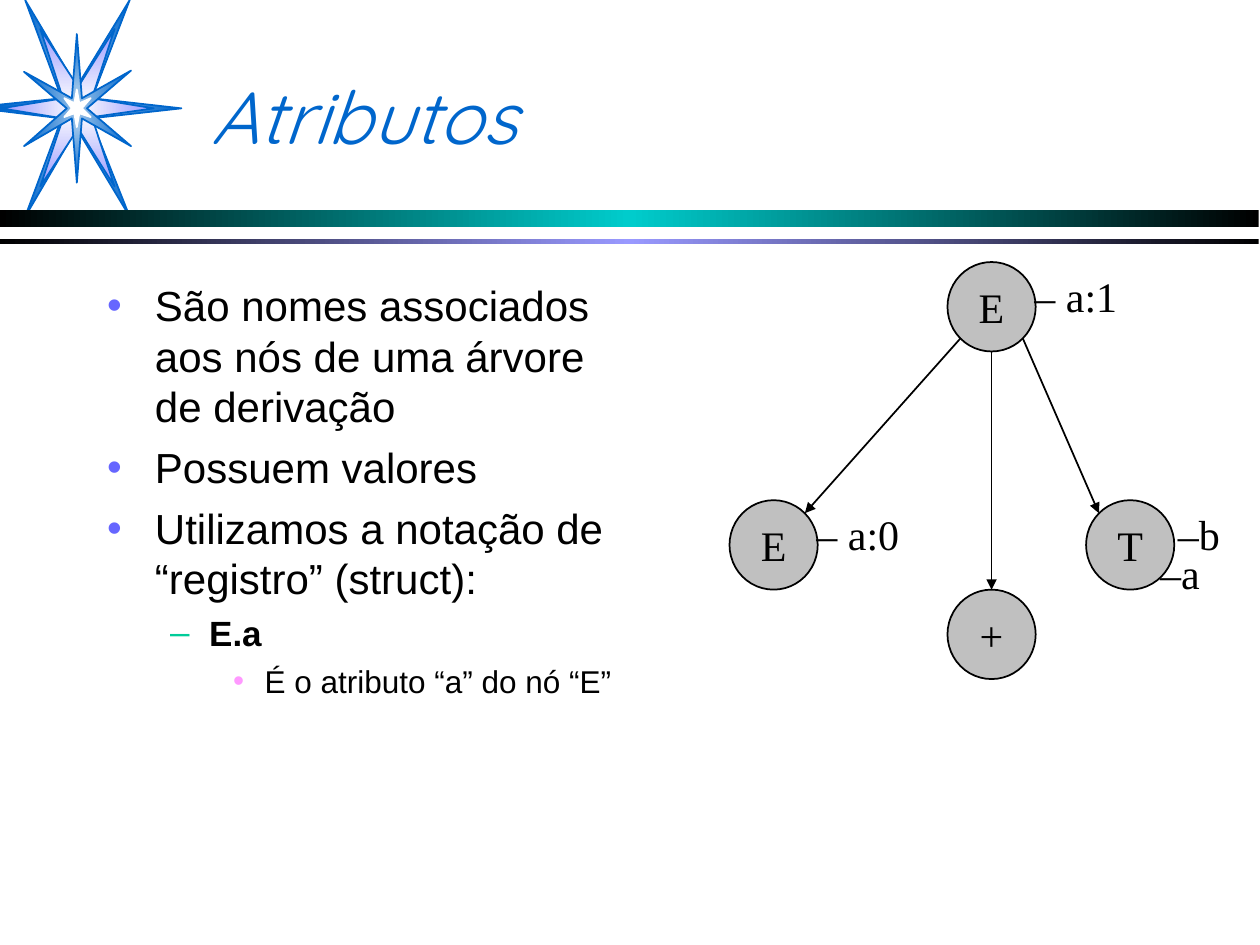
from lxml import etree
from pptx import Presentation
from pptx.dml.color import RGBColor
from pptx.enum.shapes import MSO_CONNECTOR, MSO_SHAPE
from pptx.enum.text import MSO_ANCHOR, MSO_AUTO_SIZE, PP_ALIGN
from pptx.oxml.ns import qn
from pptx.util import Inches, Pt

COLORS = {
    "black": "000000", "white": "FFFFFF", "blue": "0066CC", "lavender": "9999FF",
    "sky": "7EB1E4", "pale": "98C1E9", "near_white": "FEFEFE", "teal": "00CCCC",
    "node": "C0C0C0", "violet": "6666FF", "green": "00CC99", "pink": "FF99FF",
}
SANS, SERIF, TITLE_FONT = "Arial", "Times New Roman", "Quicksand"

# Content: bullets are (level, text)
TITLE = "Atributos"
BULLETS = [
    (0, "São nomes associados aos nós de uma árvore de derivação"),
    (0, "Possuem valores"),
    (0, "Utilizamos a notação de “registro” (struct):"),
    (1, "E.a "),
    (2, "É o atributo “a” do nó “E”"),
]
# Level: size, bold, space before, left margin, hanging indent, bullet, bullet colour
LEVELS = [
    (24, False, 6, 0.38, 0.38, "•", "violet"),
    (20, True, 5, 0.81, 0.31, "–", "green"),
    (18, False, 4.5, 1.25, 0.25, "•", "pink"),
]
# Tree nodes: label, left, top
NODE_WIDTH, NODE_HEIGHT = 0.7, 0.71
NODES = {
    "root": ("E", 7.52, 2.08), "left": ("E", 5.79, 3.97),
    "plus": ("+", 7.52, 4.68), "right": ("T", 8.62, 3.97),
}
# Edges leave the root and reach a child: child, horizontal and vertical direction
DIAGONAL = 0.71
EDGES = [("right", DIAGONAL, DIAGONAL), ("plus", 0, 1), ("left", -DIAGONAL, DIAGONAL)]
# Attributes: text, left, top, width
ATTRIBUTES = [("– a:0 ", 6.38, 3.99, 0.94), ("– a:1 ", 8.11, 2.1, 0.94),
              ("–b", 9.25, 3.99, 0.53), ("–a", 9.1, 4.3, 0.53)]
# Star layers in hundredths of an inch: gradient colours, outline, points
STARS = [
    (("sky", "blue"), "blue",
     [(49, 78), (20, 0), (61, 69), (103, 0), (73, 78), (144, 86), (72, 94),
      (103, 172), (61, 102), (20, 172), (49, 94), (0, 88), (0, 83)]),
    (("near_white", "lavender"), "blue",
     [(50, 78), (32, 23), (62, 69), (91, 23), (73, 78), (122, 86), (73, 93),
      (91, 148), (62, 102), (32, 148), (50, 94), (1, 86)]),
    (("pale", "blue"), "blue",
     [(19, 57), (57, 78), (61, 27), (65, 78), (104, 56), (69, 86), (104, 116),
      (65, 94), (61, 145), (57, 94), (19, 116), (53, 86)]),
    (("white", "white"), "white",
     [(51, 78), (59, 82), (61, 71), (63, 82), (72, 78), (65, 86), (72, 93),
      (63, 90), (61, 101), (59, 90), (51, 93), (57, 86)]),
]
# Bands: top, height, middle colour
BANDS = [(1.67, 0.13, "teal"), (1.9, 0.04, "lavender")]

presentation = Presentation()
presentation.slide_width, presentation.slide_height = Inches(10), Inches(7.5)
slide = presentation.slides.add_slide(presentation.slide_layouts[1])
shapes = slide.shapes


def rgb(name):
    return RGBColor.from_string(COLORS[name])


def child(parent, tag, **attributes):
    return etree.SubElement(parent, qn(tag), attributes)


def set_gradient(shape, names, from_center):
    shape.fill.gradient()
    gradient = shape.element.spPr.find(qn("a:gradFill"))
    for old in list(gradient):
        gradient.remove(old)
    stops = child(gradient, "a:gsLst")
    for index, name in enumerate(names):
        stop = child(stops, "a:gs", pos=str(index * 100000 // (len(names) - 1)))
        child(stop, "a:srgbClr", val=COLORS[name])
    if from_center:
        center = child(gradient, "a:path", path="rect")
        child(center, "a:fillToRect", l="50000", t="50000", r="50000", b="50000")
    else:
        child(gradient, "a:lin", ang="10800000", scaled="0")


def set_line(shape, name):
    shape.line.color.rgb = rgb(name)
    shape.line.width = Pt(1)


def place(shape, left, top, width, height):
    shape.left, shape.top = Inches(left), Inches(top)
    shape.width, shape.height = Inches(width), Inches(height)


def add_run(paragraph, text, size, font, color="black", bold=False, italic=False):
    run = paragraph.add_run()
    run.text = text
    run.font.size, run.font.name = Pt(size), font
    run.font.bold, run.font.italic = bold, italic
    run.font.color.rgb = rgb(color)


def add_label(shape, text):
    paragraph = shape.text_frame.paragraphs[0]
    paragraph.alignment = PP_ALIGN.CENTER
    paragraph.space_before = Pt(15)
    add_run(paragraph, text, 24, SERIF)


# Star
for colors, outline, points in STARS:
    builder = shapes.build_freeform(*points[0], scale=Inches(0.01))
    builder.add_line_segments(points[1:], close=True)
    star = builder.convert_to_shape()
    star.shadow.inherit = False
    set_gradient(star, colors, True)
    set_line(star, outline)

# Bands under the title
for top, height, middle in BANDS:
    band = shapes.add_shape(MSO_SHAPE.RECTANGLE, 0, Inches(top), Inches(9.99), Inches(height))
    band.shadow.inherit = False
    set_gradient(band, ("black", middle, "black"), False)
    band.line.fill.background()

# Title
title = shapes.title
place(title, 1.58, 0.25, 7.67, 1.33)
title.text_frame.auto_size = MSO_AUTO_SIZE.NONE
title.text_frame.vertical_anchor = MSO_ANCHOR.MIDDLE
title.text_frame.paragraphs[0].alignment = PP_ALIGN.LEFT
add_run(title.text_frame.paragraphs[0], TITLE, 42, TITLE_FONT, "blue", italic=True)

# Bullet list
body = slide.placeholders[1]
place(body, 0.75, 2.17, 4.41, 4.5)
frame = body.text_frame
frame.auto_size = MSO_AUTO_SIZE.NONE
for index, (level, text) in enumerate(BULLETS):
    size, bold, before, margin, hanging, bullet, color = LEVELS[level]
    paragraph = frame.add_paragraph() if index else frame.paragraphs[0]
    paragraph.level = level
    paragraph.space_before = Pt(before)
    properties = paragraph._p.get_or_add_pPr()
    properties.set("marL", str(Inches(margin)))
    properties.set("indent", str(-Inches(hanging)))
    child(child(properties, "a:buClr"), "a:srgbClr", val=COLORS[color])
    child(properties, "a:buFont", typeface=SANS)
    child(properties, "a:buChar", char=bullet)
    add_run(paragraph, text, size, SANS, bold=bold)

# Tree nodes
for label, left, top in NODES.values():
    node = shapes.add_shape(MSO_SHAPE.OVAL, Inches(left), Inches(top),
                            Inches(NODE_WIDTH), Inches(NODE_HEIGHT))
    node.shadow.inherit = False
    node.fill.solid()
    node.fill.fore_color.rgb = rgb("node")
    set_line(node, "black")
    node.text_frame.vertical_anchor = MSO_ANCHOR.MIDDLE
    add_label(node, label)

# Attributes beside the nodes
for text, left, top, width in ATTRIBUTES:
    box = shapes.add_textbox(Inches(left), Inches(top), Inches(width), Inches(0.5))
    box.text_frame.word_wrap = False
    box.text_frame.auto_size = MSO_AUTO_SIZE.SHAPE_TO_FIT_TEXT
    add_label(box, text)


def rim(name, across, down):
    _, left, top = NODES[name]
    return (Inches(left + NODE_WIDTH / 2 * (1 + across)),
            Inches(top + NODE_HEIGHT / 2 * (1 + down)))


# Arrows from the root to its children
for target, across, down in EDGES:
    arrow = shapes.add_connector(MSO_CONNECTOR.STRAIGHT, *rim("root", across, down),
                                 *rim(target, -across, -down))
    set_line(arrow, "black")
    child(arrow.line._get_or_add_ln(), "a:tailEnd", type="triangle")
    child(arrow._element.spPr, "a:effectLst")

presentation.save("out.pptx")
